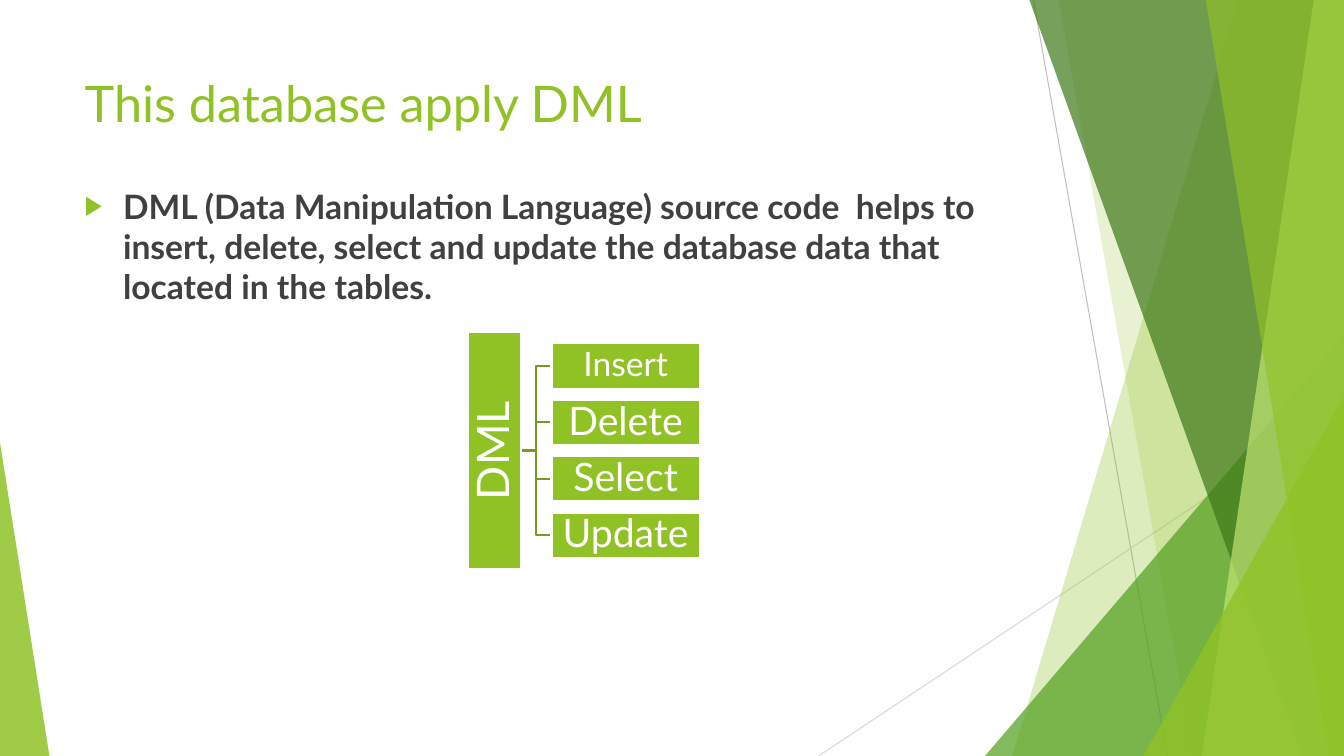
from lxml import etree
from pptx import Presentation
from pptx.dml.color import RGBColor
from pptx.enum.shapes import MSO_CONNECTOR, MSO_SHAPE
from pptx.enum.text import MSO_ANCHOR, MSO_AUTO_SIZE, PP_ALIGN
from pptx.oxml.ns import qn
from pptx.util import Inches, Pt

STRAIGHT = MSO_CONNECTOR.STRAIGHT
RECTANGLE, TRIANGLE = MSO_SHAPE.RECTANGLE, MSO_SHAPE.ISOSCELES_TRIANGLE
TOP, MIDDLE = MSO_ANCHOR.TOP, MSO_ANCHOR.MIDDLE
LEFT, CENTER = PP_ALIGN.LEFT, PP_ALIGN.CENTER

WIDTH, HEIGHT = 13.33, 7.5
FONT = "Lato"
GREEN, DARK, WHITE, BRANCH = "90C226", "404040", "FFFFFF", "739B1E"

TITLE = "This database apply DML"
BODY = ("DML (Data Manipulation Language) source code  helps to insert, delete, "
        "select and update the database data that located in the tables.")
ROOT = ("DML", 32)
COMMANDS = [("Insert", 24), ("Delete", 28), ("Select", 28), ("Update", 28)]

RAYS = [((10.25, 0), (11.58, HEIGHT), "BFBFBF"),
        ((WIDTH, 4.03), (8.12, HEIGHT), "D9D9D9")]
# kind, top-left x (band) or left x (triangle), second value, colour, opacity
FACETS = [
    ("band", 12.28, 10.04, GREEN, 30),
    ("band", 10.5, 11.83, GREEN, 20),
    ("corner", 9.77, 3.33, "54A021", 72),
    ("band", 10.21, 12.91, "3F7819", 70),
    ("band", 13.03, 11.92, "C0E474", 70),
    ("band", 11.96, 13.18, GREEN, 65),
    ("corner", 11.34, 3.93, GREEN, 80),
]
LEFT_CORNER = (0.49, 4.39, GREEN, 85)

MARGIN, TEXT_WIDTH = 0.74, 9.4
TITLE_TOP, BODY_TOP, BODY_BOTTOM = 0.67, 1.79, 6.61
ROOT_LENGTH, ROOT_THICKNESS = 2.36, 0.53
TREE_LEFT, TREE_MIDDLE = 4.64, 4.47
COMMAND_LEFT, COMMAND_WIDTH, COMMAND_HEIGHT, COMMAND_PITCH = 5.47, 1.47, 0.45, 0.56


def color(value):
    return RGBColor.from_string(value)


def paint(shape, fill=None, opacity=100, line=None):
    shape.shadow.inherit = False
    if fill:
        shape.fill.solid()
        shape.fill.fore_color.rgb = color(fill)
        if opacity < 100:
            tone = shape._element.spPr.find(qn("a:solidFill"))[0]
            etree.SubElement(tone, qn("a:alpha"), val=str(opacity * 1000))
    else:
        shape.fill.background()
    if line:
        shape.line.color.rgb = color(line)
        shape.line.width = Pt(1.5)
    else:
        shape.line.fill.background()


def write(shape, text, size, ink, bold=False, align=LEFT, anchor=TOP, inset=None, spacing=1.0):
    frame = shape.text_frame
    frame.word_wrap = True
    frame.auto_size = MSO_AUTO_SIZE.NONE
    frame.vertical_anchor = anchor
    if inset is not None:
        frame.margin_left = frame.margin_right = Inches(inset)
        frame.margin_top = frame.margin_bottom = Inches(inset)
    para = frame.paragraphs[0]
    para.alignment = align
    para.line_spacing = spacing
    span = para.add_run()
    span.text = text
    span.font.name, span.font.size, span.font.bold = FONT, Pt(size), bold
    span.font.color.rgb = color(ink)
    return para


def place(shape, left, top, width, height):
    shape.left, shape.top = Inches(left), Inches(top)
    shape.width, shape.height = Inches(width), Inches(height)


def add_preset(kind, left, top, width, height):
    return page.shapes.add_shape(kind, Inches(left), Inches(top), Inches(width), Inches(height))


def add_outline(points, close):
    corners = [(Inches(x), Inches(y)) for x, y in points]
    builder = page.shapes.build_freeform(*corners[0], scale=1.0)
    builder.add_line_segments(corners[1:], close=close)
    return builder.convert_to_shape()


def add_triangle(left, top, width, apex, fill, opacity):
    triangle = add_preset(TRIANGLE, left, top, width, HEIGHT - top)
    triangle.adjustments[0] = apex
    paint(triangle, fill, opacity)


def add_node(text, size, left, top, width, height, turn=0):
    node = add_preset(RECTANGLE, left, top, width, height)
    node.rotation = turn
    paint(node, GREEN, line=WHITE)
    write(node, text, size, WHITE, align=CENTER, anchor=MIDDLE, inset=0.02, spacing=0.9)


def add_bullet(para):
    props = para._p.get_or_add_pPr()
    props.set("marL", str(Inches(0.38)))
    props.set("indent", str(-Inches(0.38)))
    tint = etree.SubElement(props, qn("a:buClr"))
    etree.SubElement(tint, qn("a:srgbClr"), val=GREEN)
    etree.SubElement(props, qn("a:buSzPct"), val="80000")
    etree.SubElement(props, qn("a:buChar"), char="\u25b6")


deck = Presentation()
deck.slide_width, deck.slide_height = Inches(WIDTH), Inches(HEIGHT)
page = deck.slides.add_slide(deck.slide_layouts[1])

for start, end, tint in RAYS:
    ray = page.shapes.add_connector(STRAIGHT, *map(Inches, start + end))
    ray.line.color.rgb = color(tint)
    ray.line.width = Pt(0.75)
    etree.SubElement(ray._element.spPr, qn("a:effectLst"))

for kind, first, second, fill, opacity in FACETS:
    if kind == "band":
        band = add_outline([(first, 0), (WIDTH, 0), (WIDTH, HEIGHT), (second, HEIGHT)], True)
        paint(band, fill, opacity)
    else:
        add_triangle(first, second, WIDTH - first, 1, fill, opacity)
corner_width, corner_top, corner_fill, corner_opacity = LEFT_CORNER
add_triangle(0, corner_top, corner_width, 0, corner_fill, corner_opacity)

title, body = page.shapes.title, page.placeholders[1]
place(title, MARGIN, TITLE_TOP, TEXT_WIDTH, BODY_TOP - TITLE_TOP)
write(title, TITLE, 36, GREEN)
place(body, MARGIN, BODY_TOP, TEXT_WIDTH, BODY_BOTTOM - BODY_TOP)
statement = write(body, BODY, 24, DARK, bold=True)
statement.space_before = Pt(10)
add_bullet(statement)

root_right = TREE_LEFT + ROOT_THICKNESS
elbow = (root_right + COMMAND_LEFT) / 2
centers = [TREE_MIDDLE + (row - (len(COMMANDS) - 1) / 2) * COMMAND_PITCH
           for row in range(len(COMMANDS))]
for center in centers:
    branch = add_outline([(root_right, TREE_MIDDLE), (elbow, TREE_MIDDLE),
                          (elbow, center), (COMMAND_LEFT, center)], False)
    paint(branch, line=BRANCH)

add_node(*ROOT, TREE_LEFT + (ROOT_THICKNESS - ROOT_LENGTH) / 2,
         TREE_MIDDLE - ROOT_THICKNESS / 2, ROOT_LENGTH, ROOT_THICKNESS, turn=270)
for (text, size), center in zip(COMMANDS, centers):
    add_node(text, size, COMMAND_LEFT, center - COMMAND_HEIGHT / 2, COMMAND_WIDTH, COMMAND_HEIGHT)

deck.save("out.pptx")
